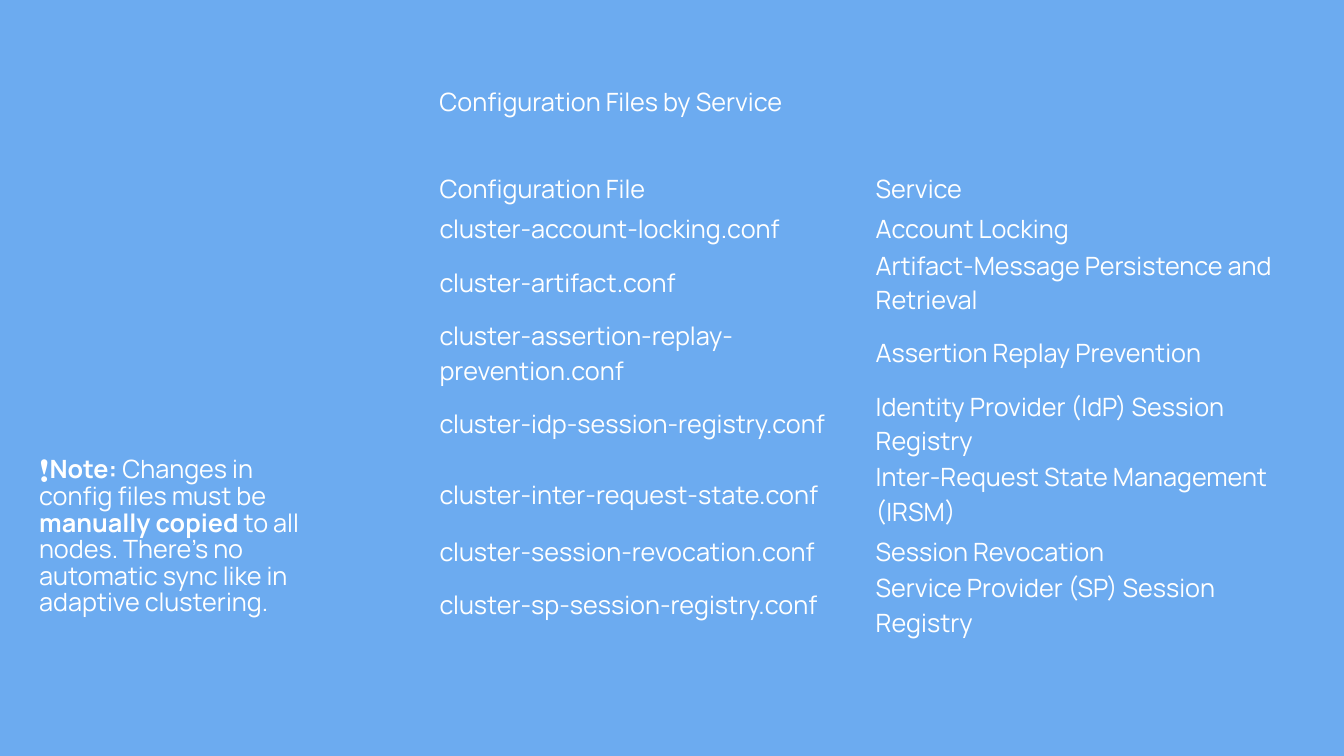
from dataclasses import dataclass

from pptx import Presentation
from pptx.dml.color import RGBColor
from pptx.enum.text import MSO_ANCHOR
from pptx.oxml.ns import qn
from pptx.util import Inches, Pt

MIDDLE = MSO_ANCHOR.MIDDLE
NO_GRID = "{2D5ABB26-0587-4C30-8999-92F81FD0307C}"


@dataclass(frozen=True)
class Theme:
    back: RGBColor = RGBColor(0x6C, 0xAB, 0xF0)
    ink: RGBColor = RGBColor(0xFF, 0xFF, 0xFF)
    font: str = "Manrope"
    size: int = 18
    tight: float = 0.88


THEME = Theme()

TITLE = "Configuration Files by Service"
NOTE = [
    ("❗", False),
    ("Note:", True),
    (" Changes in config files must be ", False),
    ("manually copied", True),
    (" to all nodes. There’s no automatic sync like in adaptive clustering.", False),
]
# File, service, lines in the taller cell
ROWS = [
    ("Configuration File", "Service", 1),
    ("cluster-account-locking.conf", "Account Locking", 1),
    ("cluster-artifact.conf", "Artifact-Message Persistence and Retrieval", 2),
    ("cluster-assertion-replay-prevention.conf", "Assertion Replay Prevention", 2),
    ("cluster-idp-session-registry.conf", "Identity Provider (IdP) Session Registry", 2),
    ("cluster-inter-request-state.conf", "Inter-Request State Management (IRSM)", 2),
    ("cluster-session-revocation.conf", "Session Revocation", 1),
    ("cluster-sp-session-registry.conf", "Service Provider (SP) Session Registry", 2),
]
HEIGHTS = {1: 0.4, 2: 0.7}
TOPS = {1: 0.05, 2: 0.01}


def add_text(para, text, bold=False, size=THEME.size, color=THEME.ink):
    run = para.add_run()
    run.text = text
    font = run.font
    font.name = THEME.font
    font.size = Pt(size)
    font.bold = bold
    font.color.rgb = color


def add_box(slide, left, top, width, height, parts):
    """Add a text box of one paragraph from (text, bold) parts."""
    box = slide.shapes.add_textbox(*map(Inches, (left, top, width, height)))
    frame = box.text_frame
    frame.word_wrap = True
    para = frame.paragraphs[0]
    para.line_spacing = THEME.tight
    for text, bold in parts:
        add_text(para, text, bold=bold)


def fill_cell(cell, text, top):
    cell.fill.background()
    cell.vertical_anchor = MIDDLE
    cell.margin_top = Inches(top)
    cell.margin_bottom = Inches(0)
    add_text(cell.text_frame.paragraphs[0], text)


def add_grid(slide, left, top, width, rows):
    """Add a plain table without lines, rows sized by their line count."""
    height = sum(HEIGHTS[lines] for *_, lines in rows)
    frame = slide.shapes.add_table(
        len(rows), 2, *map(Inches, (left, top, width, height)))
    table = frame.table
    table.first_row = False
    table.horz_banding = False
    table._tbl.tblPr.find(qn("a:tableStyleId")).text = NO_GRID
    for row, (*texts, lines) in zip(table.rows, rows):
        row.height = Inches(HEIGHTS[lines])
        for cell, text in zip(row.cells, texts):
            fill_cell(cell, text, TOPS[lines])


def main():
    deck = Presentation()
    deck.slide_width = Inches(13.33)
    deck.slide_height = Inches(7.5)
    slide = deck.slides.add_slide(deck.slide_layouts[6])
    fill = slide.background.fill
    fill.solid()
    fill.fore_color.rgb = THEME.back

    add_box(slide, 4.26, 0.85, 8.08, 0.4, [(TITLE, False)])
    add_grid(slide, 4.26, 1.65, 8.65, ROWS)
    add_box(slide, 0.29, 4.49, 3, 1.92, NOTE)
    deck.save("out.pptx")


if __name__ == "__main__":
    main()
